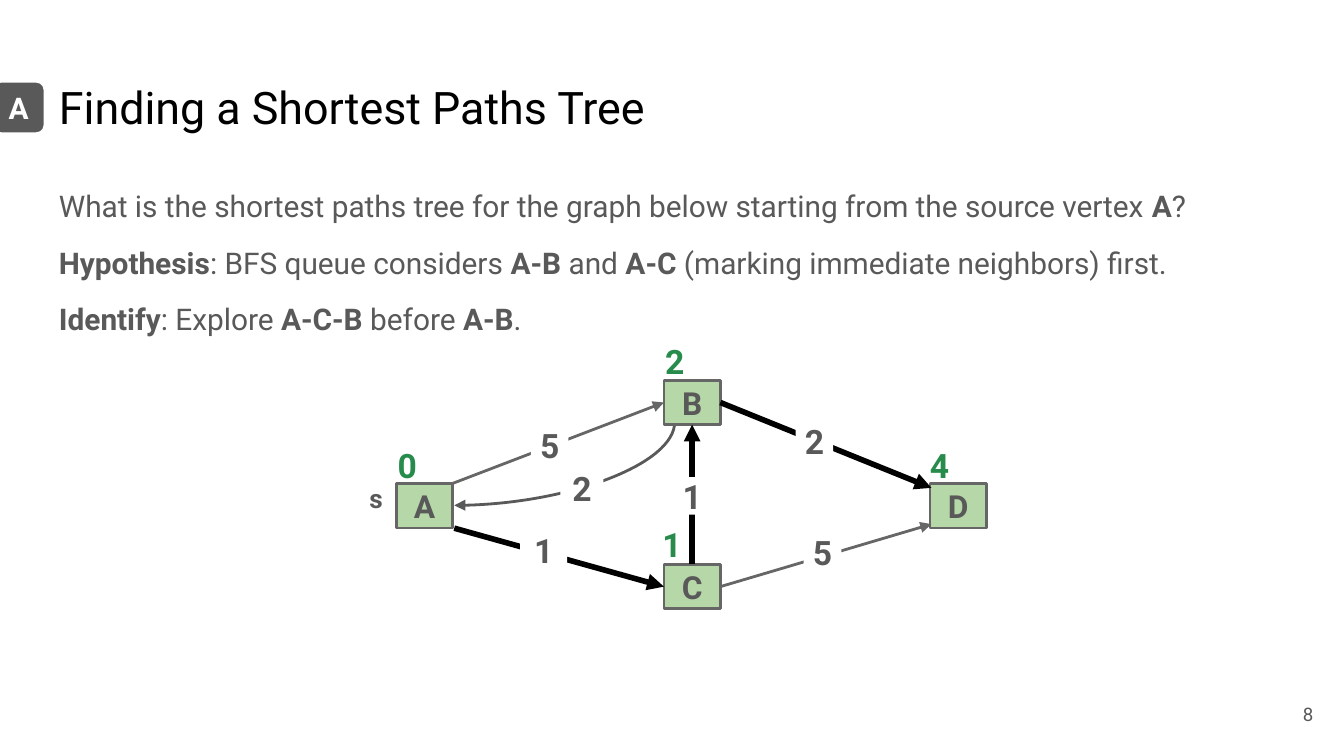
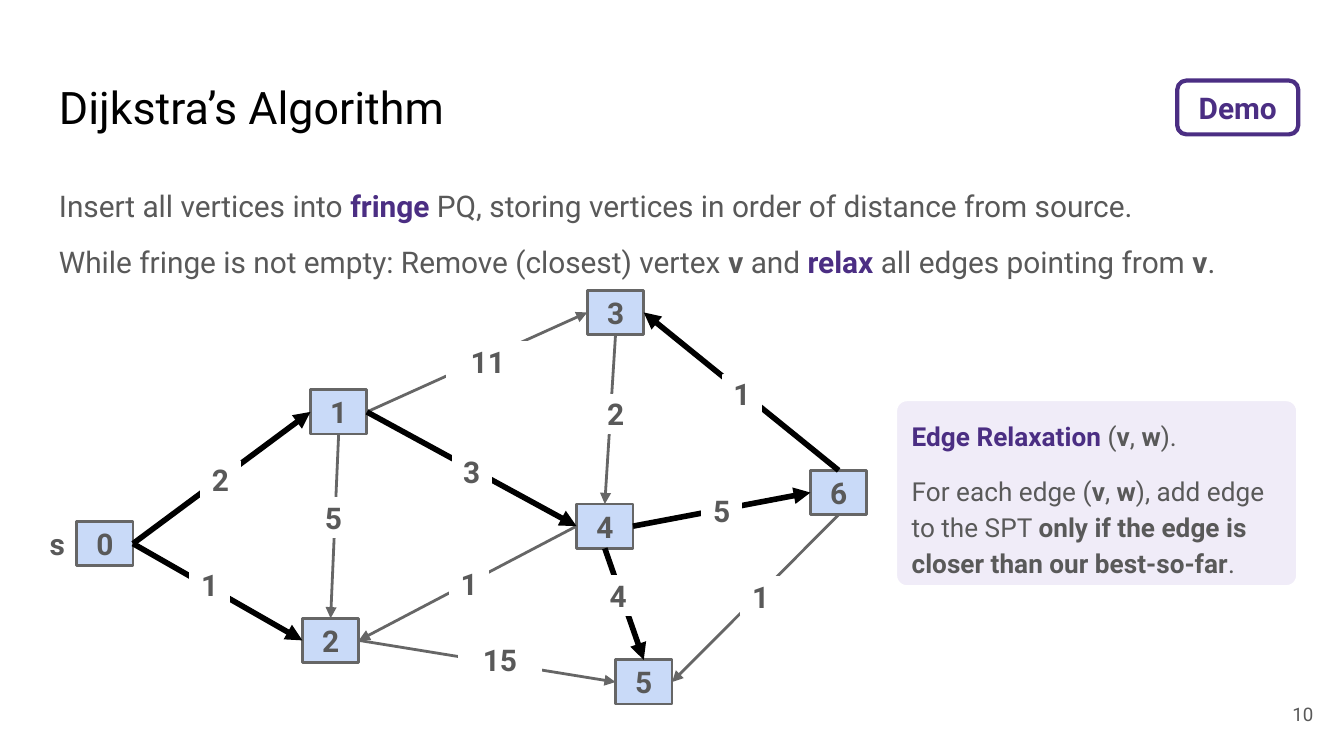
from lxml.etree import SubElement
from pptx import Presentation
from pptx.dml.color import RGBColor
from pptx.enum.shapes import MSO_CONNECTOR as Connector, MSO_SHAPE as Shape
from pptx.enum.text import MSO_ANCHOR as Anchor, PP_ALIGN as Align
from pptx.oxml.ns import qn
from pptx.util import Inches, Pt

FONT = "Roboto"
BLACK, WHITE, GRAY, EDGE_GRAY = "000000", "FFFFFF", "595959", "666666"
PURPLE, LAVENDER, GREEN = "4B2E83", "F0ECF8", "278B4C"
NODE_GREEN, NODE_BLUE = "B6D7A8", "C9DAF8"
NODE_W, NODE_H, LABEL_H = 0.42, 0.33, 0.28
TOP, LEFT, BOTTOM, RIGHT = range(4)


def rgb(color):
    return RGBColor.from_string(color)


def write(shape, *paragraphs, size=16, color=GRAY, bold=False, align=Align.LEFT,
          anchor=Anchor.TOP, side_inset=0.1, spacing=None, gap=0):
    """Fill a shape with text; *stars* mark bold words and *!stars* purple ones."""
    frame = shape.text_frame
    frame.word_wrap = True
    frame.vertical_anchor = anchor
    frame.margin_left = frame.margin_right = Inches(side_inset)
    frame.margin_top = frame.margin_bottom = Inches(0.1)
    for number, text in enumerate(paragraphs):
        paragraph = frame.add_paragraph() if number else frame.paragraphs[0]
        paragraph.alignment = align
        if spacing:
            paragraph.line_spacing = spacing
        if number:
            paragraph.space_before = Pt(gap)
        for index, words in enumerate(text.split("*")):
            if not words:
                continue
            run = paragraph.add_run()
            run.text = words.lstrip("!")
            run.font.name = FONT
            run.font.size = Pt(size)
            run.font.bold = bold or index % 2 == 1
            run.font.color.rgb = rgb(PURPLE if words.startswith("!") else color)
    if gap:
        frame.paragraphs[-1].space_after = Pt(gap)


def add_text(slide, box, *paragraphs, **style):
    write(slide.shapes.add_textbox(*map(Inches, box)), *paragraphs, **style)


def add_box(slide, box, *paragraphs, kind=Shape.RECTANGLE, fill=WHITE, line=None,
            line_width=1.5, corner=None, **style):
    shape = slide.shapes.add_shape(kind, *map(Inches, box))
    shape.shadow.inherit = False
    shape.fill.solid()
    shape.fill.fore_color.rgb = rgb(fill)
    if line:
        shape.line.color.rgb = rgb(line)
        shape.line.width = Pt(line_width)
    else:
        shape.line.fill.background()
    if corner:
        shape.adjustments[0] = corner
    write(shape, *paragraphs, **style)
    return shape


def add_badge(slide, box, text, fill, line, color):
    add_box(slide, box, text, kind=Shape.ROUNDED_RECTANGLE, fill=fill, line=line,
            line_width=2.25, corner=0.167, color=color, bold=True,
            align=Align.CENTER, anchor=Anchor.MIDDLE)


def add_nodes(slide, places, fill, size):
    """Draw the vertices and return them by name."""
    return {name: add_box(slide, (left, top, NODE_W, NODE_H), name, fill=fill,
                          line=EDGE_GRAY, size=size, bold=True,
                          align=Align.CENTER, anchor=Anchor.MIDDLE)
            for name, (left, top) in places.items()}


def style_edge(edge, color, width):
    edge.line.color.rgb = rgb(color)
    edge.line.width = Pt(width)
    properties = edge._element.spPr
    SubElement(properties.find(qn("a:ln")), qn("a:tailEnd"), type="triangle")
    SubElement(properties, qn("a:effectLst"))


def add_edge(slide, nodes, start, end, in_tree=False):
    """Draw an arrow; each end is (node name, side) or a point (x, y)."""
    edge = slide.shapes.add_connector(Connector.STRAIGHT, 0, 0, 0, 0)
    if start[0] in nodes:
        edge.begin_connect(nodes[start[0]], start[1])
    else:
        edge.begin_x, edge.begin_y = map(Inches, start)
    if end[0] in nodes:
        edge.end_connect(nodes[end[0]], end[1])
    else:
        edge.end_x, edge.end_y = map(Inches, end)
    style_edge(edge, BLACK if in_tree else EDGE_GRAY, 3 if in_tree else 1.5)


def add_return_edge(slide, start, end):
    """Draw a quarter-curve arrow that leaves downwards and arrives leftwards."""
    (x1, y1), (x2, y2) = start, end
    mid_x, mid_y = (x1 + x2) / 2, (y1 + y2) / 2
    half_w, half_h = (y2 - y1) / 2, (x1 - x2) / 2
    edge = slide.shapes.add_connector(
        Connector.CURVE, Inches(mid_x - half_w), Inches(mid_y - half_h),
        Inches(mid_x + half_w), Inches(mid_y + half_h))
    properties = edge._element.spPr
    properties.find(qn("a:xfrm")).set("rot", str(90 * 60000))
    properties.find(qn("a:prstGeom")).set("prst", "curvedConnector2")
    style_edge(edge, GRAY, 1.5)


def add_weights(slide, weights, size, line=None):
    for text, left, top, width in weights:
        add_box(slide, (left, top, width, LABEL_H), text, line=line, size=size,
                bold=True, align=Align.CENTER, anchor=Anchor.MIDDLE, side_inset=0)


def add_slide(deck, title, number, *body):
    slide = deck.slides.add_slide(deck.slide_layouts[6])
    slide.background.fill.solid()
    slide.background.fill.fore_color.rgb = rgb(WHITE)
    add_text(slide, (0.34, 0.49, 9.32, 0.63), title, size=24, color=BLACK)
    add_text(slide, (0.34, 1.26, 9.32, 0.45 * len(body)), *body, spacing=1.15, gap=8)
    add_text(slide, (9.27, 5.1, 0.6, 0.43), str(number), size=10,
             align=Align.RIGHT, anchor=Anchor.MIDDLE)
    return slide


def build_shortest_paths_tree(deck):
    slide = add_slide(
        deck, "Finding a Shortest Paths Tree", 8,
        "What is the shortest paths tree for the graph below starting from "
        "the source vertex *A*?",
        "*Hypothesis*: BFS queue considers *A-B* and *A-C* "
        "(marking immediate neighbors) first.",
        "*Identify*: Explore *A-C-B* before *A-B*.")
    add_badge(slide, (-0.06, 0.6, 0.4, 0.4), "A", GRAY, WHITE, WHITE)

    add_return_edge(slide, (5.02, 3.14), (3.38, 3.76))
    nodes = add_nodes(slide, {"A": (2.95, 3.6), "B": (4.94, 2.83),
                              "C": (4.94, 4.2), "D": (6.92, 3.6)}, NODE_GREEN, 17)
    add_text(slide, (2.65, 3.49, 0.35, 0.36), "s", size=14, bold=True)
    add_edge(slide, nodes, (3.36, 3.6), ("B", LEFT))
    add_edge(slide, nodes, (3.38, 3.93), ("C", LEFT), in_tree=True)
    add_edge(slide, nodes, ("C", RIGHT), (6.93, 3.9))
    add_edge(slide, nodes, ("C", TOP), ("B", BOTTOM), in_tree=True)
    add_edge(slide, nodes, ("B", RIGHT), (6.93, 3.63), in_tree=True)
    add_weights(slide, [("5", 3.95, 3.17, 0.28), ("5", 5.98, 3.97, 0.28),
                        ("1", 5.01, 3.55, 0.28), ("2", 4.17, 3.49, 0.32),
                        ("2", 5.92, 3.14, 0.28), ("1", 3.87, 3.95, 0.35)], 18)
    for distance, left, top in [("0", 2.89, 3.32), ("1", 4.86, 3.91),
                                ("2", 4.88, 2.55), ("4", 6.85, 3.32)]:
        add_text(slide, (left, top, 0.28, LABEL_H), distance, size=18, color=GREEN,
                 bold=True, align=Align.CENTER, anchor=Anchor.MIDDLE, side_inset=0)


def build_dijkstra(deck):
    slide = add_slide(
        deck, "Dijkstra’s Algorithm", 10,
        "Insert all vertices into *!fringe* PQ, storing vertices in order of "
        "distance from source.",
        "While fringe is not empty: Remove (closest) vertex *v* and *!relax* "
        "all edges pointing from *v*.")
    add_badge(slide, (8.76, 0.6, 0.9, 0.4), "Demo", WHITE, PURPLE, PURPLE)

    nodes = add_nodes(slide, {"0": (0.57, 3.88), "1": (2.31, 2.9), "2": (2.25, 4.6),
                              "3": (4.37, 2.16), "4": (4.29, 3.75),
                              "5": (4.58, 4.91), "6": (6.03, 3.5)}, NODE_BLUE, 16)
    add_text(slide, (0.27, 3.81, 0.35, 0.36), "s", bold=True)
    tree_edges = [("0", RIGHT, "1", LEFT), ("0", RIGHT, "2", LEFT),
                  ("1", RIGHT, "4", LEFT), ("4", RIGHT, "6", LEFT),
                  ("4", BOTTOM, "5", TOP), ("6", TOP, "3", RIGHT)]
    other_edges = [("1", RIGHT, "3", LEFT), ("1", BOTTOM, "2", TOP),
                   ("2", RIGHT, "5", LEFT), ("3", BOTTOM, "4", TOP),
                   ("4", LEFT, "2", RIGHT), ("6", BOTTOM, "5", RIGHT)]
    for edges, in_tree in [(other_edges, False), (tree_edges, True)]:
        for source, source_side, target, target_side in edges:
            add_edge(slide, nodes, (source, source_side), (target, target_side),
                     in_tree)
    add_weights(slide, [("5", 2.34, 3.71, 0.28), ("2", 1.5, 3.43, 0.28),
                        ("1", 1.42, 4.21, 0.28), ("15", 3.42, 4.77, 0.6),
                        ("3", 3.37, 3.37, 0.28), ("2", 4.44, 2.94, 0.28),
                        ("11", 3.33, 2.55, 0.6), ("5", 5.23, 3.66, 0.28),
                        ("1", 5.52, 4.3, 0.28), ("1", 5.38, 2.79, 0.28),
                        ("4", 4.46, 4.29, 0.28), ("1", 3.35, 4.2, 0.28)],
                16, line=WHITE)
    add_box(slide, (6.66, 2.97, 3, 1.4), "*!Edge Relaxation* (*v*, *w*).",
            "For each edge (*v*, *w*), add edge to the SPT "
            "*only if the edge is closer than our best-so-far*.",
            kind=Shape.ROUNDED_RECTANGLE, fill=LAVENDER, line=WHITE, line_width=2.25,
            corner=0.063, size=14, spacing=1.15, gap=10)


def main():
    deck = Presentation()
    deck.slide_width = Inches(10)
    deck.slide_height = deck.slide_width * 9 // 16
    build_shortest_paths_tree(deck)
    build_dijkstra(deck)
    deck.save("out.pptx")


if __name__ == "__main__":
    main()
